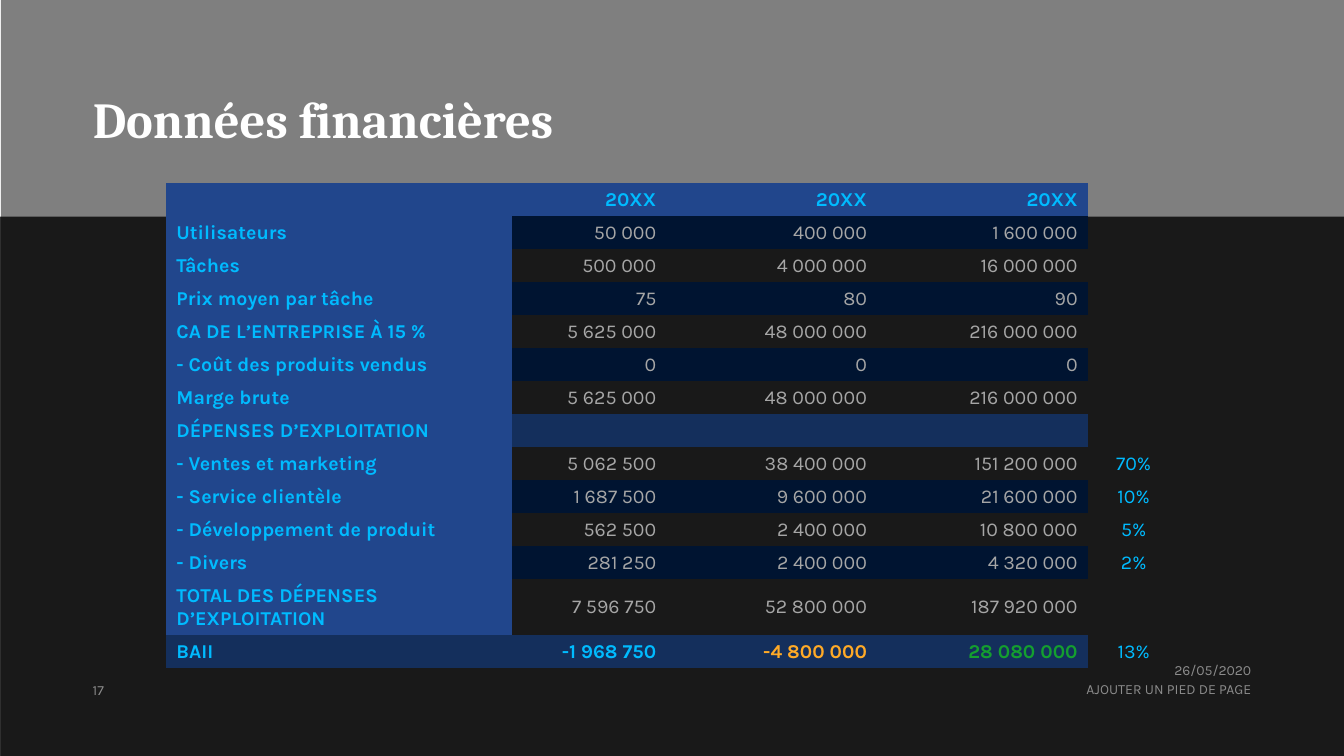
"""Build the financial data slide with its table of three years."""
import pptx
import pptx.dml.color
import pptx.enum.shapes
import pptx.enum.text
import pptx.oxml.ns
import pptx.oxml.xmlchemy
import pptx.util

Inches, Pt = pptx.util.Inches, pptx.util.Pt
ANCHOR, ALIGN = pptx.enum.text.MSO_ANCHOR, pptx.enum.text.PP_ALIGN

COLORS = {
    "black": "000000", "white": "FFFFFF", "label": "21468C", "band": "001431",
    "section": "142F5C", "accent": "00BBFF", "figure": "A6A6A6",
    "loss": "FFAA27", "profit": "149F2F", "footer": "D9D9D9",
}
TITLE = "Données financières"
YEARS = ("20XX", "20XX", "20XX")
ROWS = [
    ("Utilisateurs", (50000, 400000, 1600000), ""),
    ("Tâches", (500000, 4000000, 16000000), ""),
    ("Prix moyen par tâche", (75, 80, 90), ""),
    ("CA DE L’ENTREPRISE À 15 %", (5625000, 48000000, 216000000), ""),
    ("- Coût des produits vendus", (0, 0, 0), ""),
    ("Marge brute", (5625000, 48000000, 216000000), ""),
    ("DÉPENSES D’EXPLOITATION", (), ""),
    ("- Ventes et marketing", (5062500, 38400000, 151200000), "70%"),
    ("- Service clientèle", (1687500, 9600000, 21600000), "10%"),
    ("- Développement de produit", (562500, 2400000, 10800000), "5%"),
    ("- Divers", (281250, 2400000, 4320000), "2%"),
    ("TOTAL DES DÉPENSES D’EXPLOITATION", (7596750, 52800000, 187920000), ""),
    ("BAII", (-1968750, -4800000, 28080000), "13%"),
]
RESULT_COLORS = ("accent", "loss", "profit")
FOOTERS = [
    ("17", (0.92, 6.73, 0.5, 0.2), ALIGN.LEFT, ANCHOR.BOTTOM),
    ("26/05/2020", (9.41, 6.56, 3, 0.16), ALIGN.RIGHT, ANCHOR.TOP),
    ("AJOUTER UN PIED DE PAGE", (7.91, 6.75, 4.5, 0.21), ALIGN.RIGHT, ANCHOR.TOP),
]
WIDTH, HEIGHT = 13.33, 7.5
BACKDROPS = [((0.01, 0, WIDTH, HEIGHT), 50), ((0, 2.15, WIDTH, HEIGHT - 2.15), 80)]
COLUMNS = (3.43, 1.53, 2.09, 2.09, 0.91)
ROW_HEIGHT = 0.31
TABLE_LEFT, TABLE_TOP = 1.65, 1.82
NO_GRID_STYLE = "{2D5ABB26-0587-4C30-8999-92F81FD0307C}"


def rgb(name):
    return pptx.dml.color.RGBColor.from_string(COLORS[name])


def set_alpha(element, percent):
    for color in element.iter(pptx.oxml.ns.qn("a:srgbClr")):
        alpha = pptx.oxml.xmlchemy.OxmlElement("a:alpha")
        alpha.set("val", str(percent * 1000))
        color.append(alpha)


def add_run(paragraph, text, size, color, font="Karla", bold=False):
    run = paragraph.add_run()
    run.text = text
    run.font.size, run.font.name, run.font.bold = Pt(size), font, bold
    run.font.color.rgb = rgb(color)


def prepare_frame(frame, anchor):
    frame.margin_left = frame.margin_right = frame.margin_top = frame.margin_bottom = 0
    frame.word_wrap = True
    frame.vertical_anchor = anchor


def fill_cell(cell, text, fill, color, bold, align):
    cell.vertical_anchor = ANCHOR.MIDDLE
    if fill:
        cell.fill.solid()
        cell.fill.fore_color.rgb = rgb(fill)
    else:
        cell.fill.background()
    paragraph = cell.text_frame.paragraphs[0]
    paragraph.alignment = align
    if text:
        add_run(paragraph, text, 14, color, bold=bold)
    else:
        end = pptx.oxml.xmlchemy.OxmlElement("a:endParaRPr")
        end.set("sz", "1400")
        latin = pptx.oxml.xmlchemy.OxmlElement("a:latin")
        latin.set("typeface", "Karla")
        end.append(latin)
        paragraph._p.append(end)


def add_backdrops(slide):
    for box, opacity in BACKDROPS:
        backdrop = slide.shapes.add_shape(
            pptx.enum.shapes.MSO_SHAPE.RECTANGLE, *map(Inches, box))
        backdrop.shadow.inherit = False
        backdrop.line.fill.background()
        backdrop.fill.solid()
        backdrop.fill.fore_color.rgb = rgb("black")
        set_alpha(backdrop._element.spPr, opacity)


def add_title(slide):
    title = slide.shapes.title
    slide.shapes._spTree.append(title._element)
    title.left, title.top, title.width, title.height = map(Inches, (0.92, 0.88, 7.5, 0.6))
    prepare_frame(title.text_frame, ANCHOR.BOTTOM)
    title.text_frame.auto_size = pptx.enum.text.MSO_AUTO_SIZE.NONE
    heading = title.text_frame.paragraphs[0]
    heading.alignment, heading.line_spacing = ALIGN.LEFT, 0.9
    add_run(heading, TITLE, 36, "white", "Cambria", True)


def add_finances(slide):
    row_count = len(ROWS) + 1
    finances = slide.shapes.add_table(
        row_count, len(COLUMNS), Inches(TABLE_LEFT), Inches(TABLE_TOP),
        Inches(sum(COLUMNS)), Inches(ROW_HEIGHT * row_count)).table
    finances.first_row = finances.horz_banding = False
    finances._tbl.tblPr.find(pptx.oxml.ns.qn("a:tableStyleId")).text = NO_GRID_STYLE
    for column, width in zip(finances.columns, COLUMNS):
        column.width = Inches(width)
    for row in finances.rows:
        row.height = Inches(ROW_HEIGHT)

    for c, text in enumerate(("", *YEARS, "")):
        fill_cell(finances.cell(0, c), text, "label" if c < 4 else None,
                  "accent", True, ALIGN.RIGHT)
    for r, (label, figures, share) in enumerate(ROWS, start=1):
        is_result = r == len(ROWS)
        if is_result or not figures:
            fill = "section"
        else:
            fill = "band" if r % 2 else None
        fill_cell(finances.cell(r, 0), label, "section" if is_result else "label",
                  "accent", True, ALIGN.LEFT)
        for c in range(len(YEARS)):
            text = f"{figures[c]:,}".replace(",", " ") if figures else ""
            color = RESULT_COLORS[c] if is_result else "figure"
            fill_cell(finances.cell(r, c + 1), text, fill, color, is_result, ALIGN.RIGHT)
        fill_cell(finances.cell(r, 4), share, None, "accent", False, ALIGN.CENTER)


def add_footers(slide):
    for text, box, align, anchor in FOOTERS:
        footer = slide.shapes.add_textbox(*map(Inches, box))
        prepare_frame(footer.text_frame, anchor)
        paragraph = footer.text_frame.paragraphs[0]
        paragraph.alignment = align
        add_run(paragraph, text, 10, "footer")
        set_alpha(paragraph._p, 60)


def main():
    deck = pptx.Presentation()
    deck.slide_width, deck.slide_height = Inches(WIDTH), Inches(HEIGHT)
    slide = deck.slides.add_slide(deck.slide_layouts[5])
    add_backdrops(slide)
    add_title(slide)
    add_finances(slide)
    add_footers(slide)
    deck.save("out.pptx")


if __name__ == "__main__":
    main()
